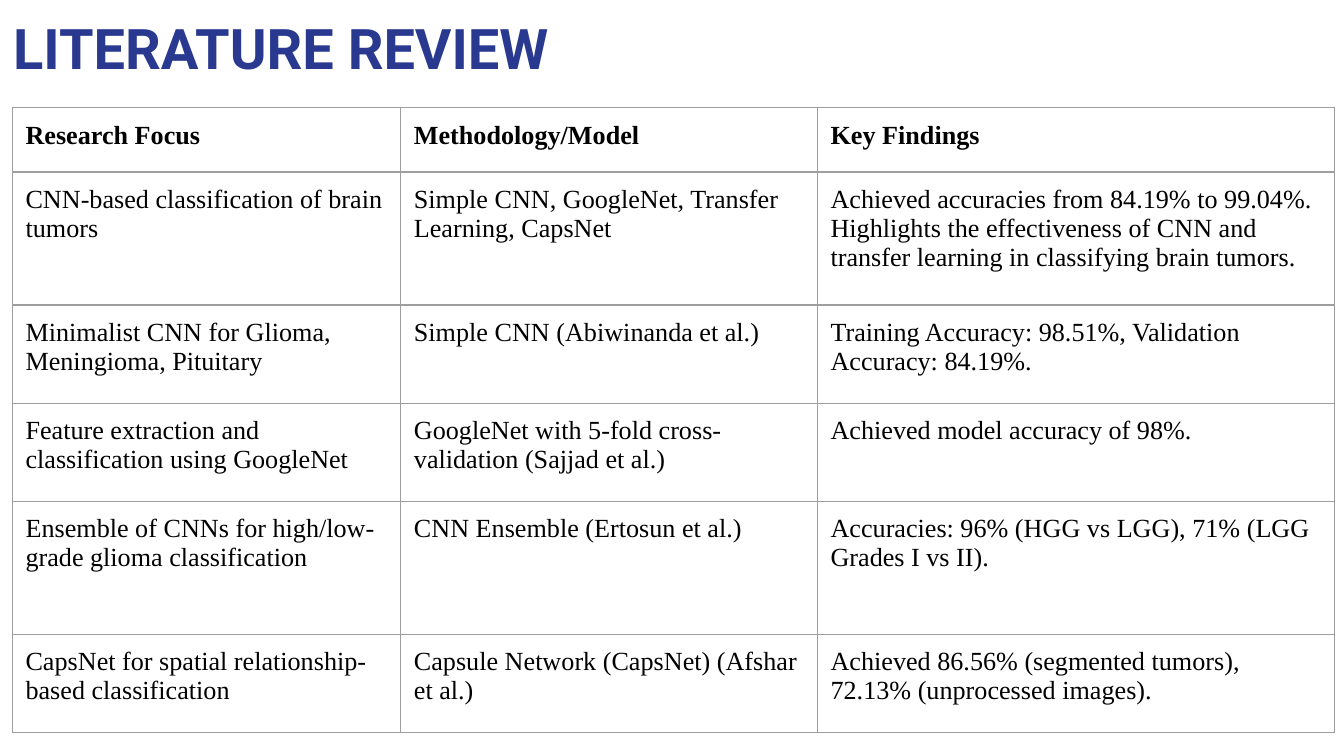
from dataclasses import dataclass

from lxml import etree
from pptx import Presentation
from pptx.dml.color import RGBColor
from pptx.enum.text import MSO_ANCHOR, MSO_AUTO_SIZE
from pptx.oxml.ns import qn
from pptx.util import Inches, Pt

TOP = MSO_ANCHOR.TOP
GROW = MSO_AUTO_SIZE.SHAPE_TO_FIT_TEXT
BLANK_LAYOUT = 6
BORDER_SIDES = ("a:lnL", "a:lnR", "a:lnT", "a:lnB")
PAGE_WIDTH = 10
PAGE_HEIGHT = PAGE_WIDTH * 9 / 16


@dataclass(frozen=True)
class Theme:
    title_font: str = "Roboto"
    body_font: str = "Times New Roman"
    title_color: str = "2A3990"
    body_color: str = "000000"
    border_color: str = "9E9E9E"
    title_size: float = 30
    body_size: float = 14
    border_width: float = 0.75
    inset: float = 0.1


COLUMN_WIDTHS = (2.89, 3.1, 3.85)
HEADER_HEIGHT, SHORT_ROW, TALL_ROW = 0.48, 0.73, 0.99
ROW_HEIGHTS = (HEADER_HEIGHT, TALL_ROW, SHORT_ROW, SHORT_ROW, TALL_ROW, SHORT_ROW)
STUDIES = (
    ("Research Focus", "Methodology/Model", "Key Findings"),
    (
        "CNN-based classification of brain tumors",
        "Simple CNN, GoogleNet, Transfer Learning, CapsNet",
        "Achieved accuracies from 84.19% to 99.04%. Highlights the effectiveness "
        "of CNN and transfer learning in classifying brain tumors.",
    ),
    (
        "Minimalist CNN for Glioma, Meningioma, Pituitary",
        "Simple CNN (Abiwinanda et al.)",
        "Training Accuracy: 98.51%, Validation Accuracy: 84.19%.",
    ),
    (
        "Feature extraction and classification using GoogleNet",
        "GoogleNet with 5-fold cross-validation (Sajjad et al.)",
        "Achieved model accuracy of 98%.",
    ),
    (
        "Ensemble of CNNs for high/low-grade glioma classification",
        "CNN Ensemble (Ertosun et al.)",
        "Accuracies: 96% (HGG vs LGG), 71% (LGG Grades I vs II).",
    ),
    (
        "CapsNet for spatial relationship-based classification",
        "Capsule Network (CapsNet) (Afshar et al.)",
        "Achieved 86.56% (segmented tumors), 72.13% (unprocessed images).",
    ),
)


class SlideBuilder:
    def __init__(self, page, theme):
        self.page = page
        self.theme = theme

    def set_font(self, para, name, size, color, bold):
        font = para.font
        font.name = name
        font.size = Pt(size)
        font.bold = bold
        font.color.rgb = RGBColor.from_string(color)

    def set_margins(self, holder):
        inset = Inches(self.theme.inset)
        holder.margin_left = holder.margin_right = inset
        holder.margin_top = holder.margin_bottom = inset

    def add_title(self, text, left, top, width, height):
        theme = self.theme
        box = self.page.shapes.add_textbox(
            Inches(left), Inches(top), Inches(width), Inches(height)
        )
        frame = box.text_frame
        frame.word_wrap = True
        frame.auto_size = GROW
        self.set_margins(frame)
        frame.text = text
        self.set_font(
            frame.paragraphs[0], theme.title_font, theme.title_size, theme.title_color, True
        )

    def add_borders(self, cell):
        properties = cell._tc.get_or_add_tcPr()
        for position, side in enumerate(BORDER_SIDES):
            line = etree.Element(qn(side), w=str(Pt(self.theme.border_width)))
            fill = etree.SubElement(line, qn("a:solidFill"))
            etree.SubElement(fill, qn("a:srgbClr"), val=self.theme.border_color)
            properties.insert(position, line)

    def fill_cell(self, cell, text, bold):
        theme = self.theme
        cell.text = text
        cell.vertical_anchor = TOP
        self.set_margins(cell)
        cell.fill.background()
        self.add_borders(cell)
        self.set_font(
            cell.text_frame.paragraphs[0],
            theme.body_font, theme.body_size, theme.body_color, bold,
        )

    def add_table(self, rows, left, top, widths, heights):
        table = self.page.shapes.add_table(
            len(rows), len(widths), Inches(left), Inches(top),
            Inches(sum(widths)), Inches(sum(heights)),
        ).table
        table.horz_banding = False
        for column, width in zip(table.columns, widths):
            column.width = Inches(width)
        for row, height in zip(table.rows, heights):
            row.height = Inches(height)
        for row_index, texts in enumerate(rows):
            for column_index, text in enumerate(texts):
                self.fill_cell(table.cell(row_index, column_index), text, row_index == 0)


def main():
    deck = Presentation()
    deck.slide_width = Inches(PAGE_WIDTH)
    deck.slide_height = Inches(PAGE_HEIGHT)
    page = deck.slides.add_slide(deck.slide_layouts[BLANK_LAYOUT])
    builder = SlideBuilder(page, Theme())
    builder.add_title("LITERATURE REVIEW", 0, 0, 7.1, 0.71)
    builder.add_table(STUDIES, 0.09, 0.8, COLUMN_WIDTHS, ROW_HEIGHTS)
    deck.save("out.pptx")


if __name__ == "__main__":
    main()
